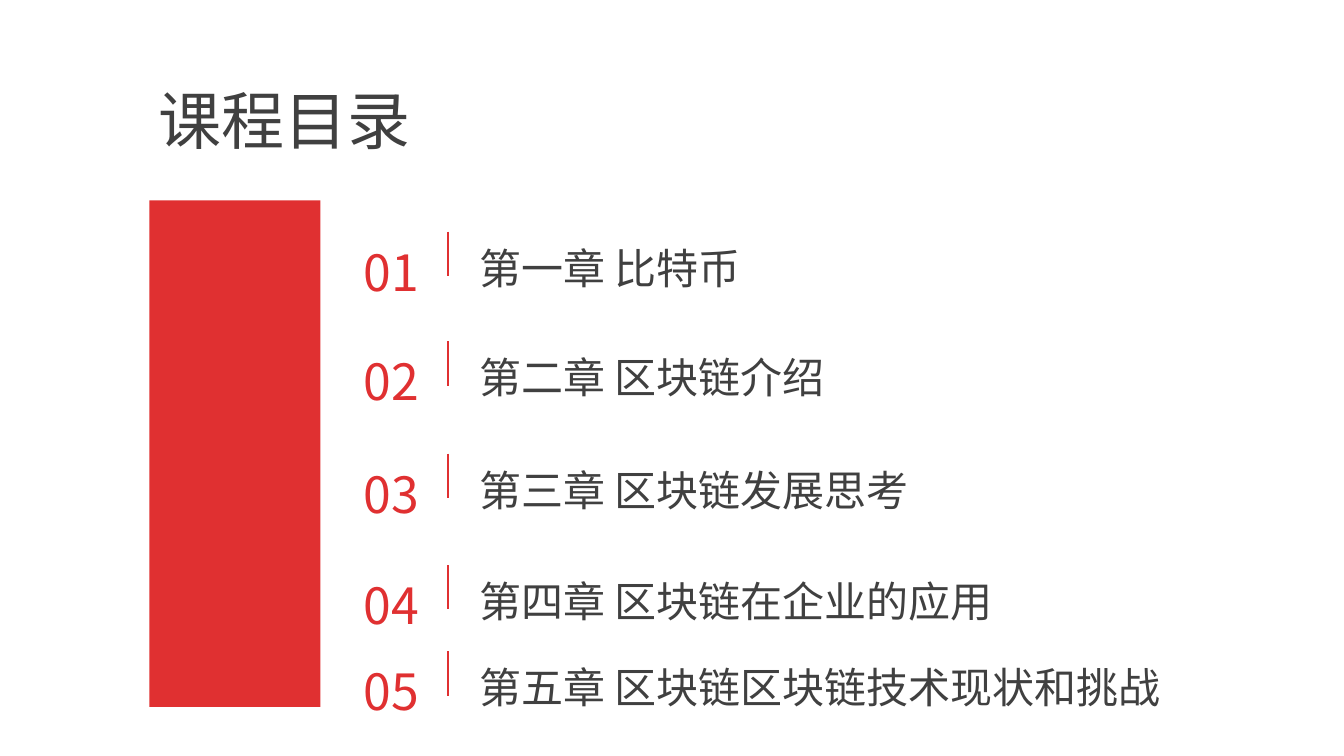
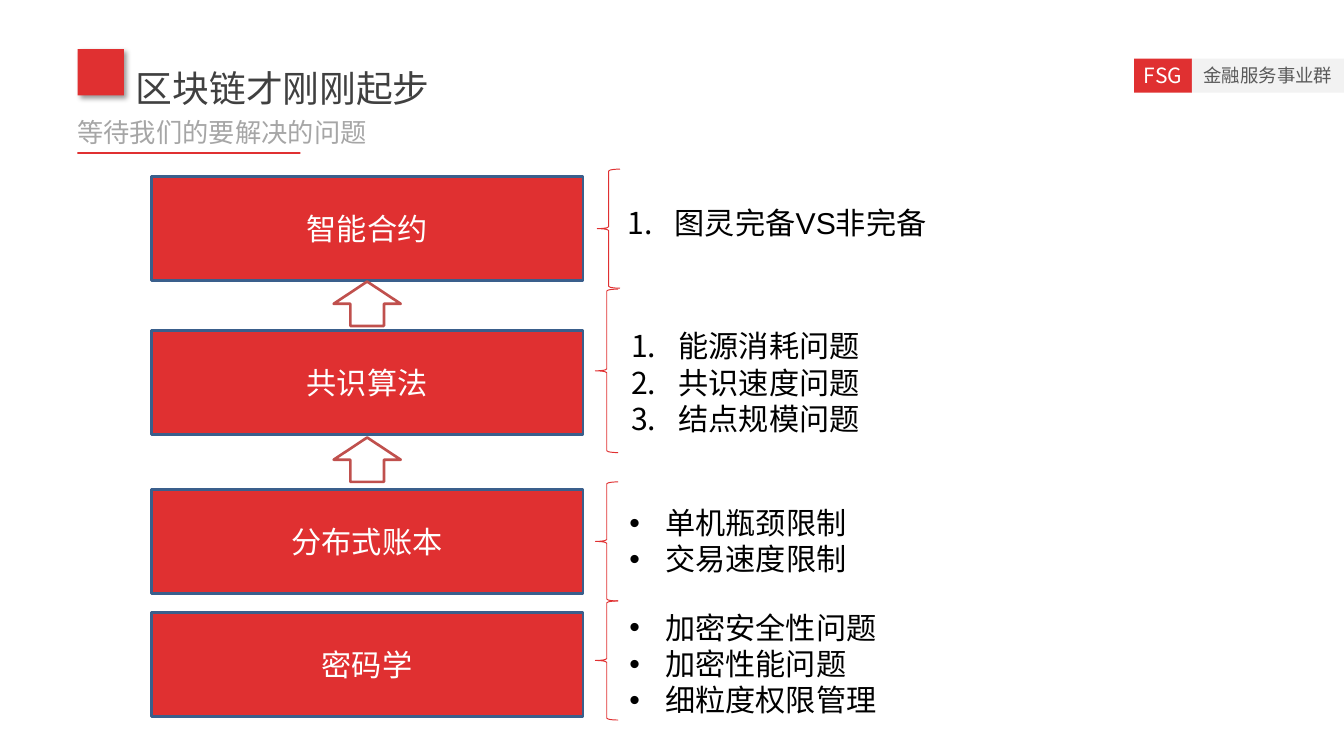
from lxml.etree import SubElement
from pptx import Presentation
from pptx.dml.color import RGBColor
from pptx.enum.shapes import MSO_CONNECTOR, MSO_SHAPE
from pptx.enum.text import MSO_ANCHOR, MSO_AUTO_SIZE, PP_ALIGN
from pptx.oxml.ns import qn
from pptx.util import Inches, Pt

RED = RGBColor(0xE0, 0x30, 0x31)
DARK = RGBColor(0x40, 0x40, 0x40)
GRAY = RGBColor(0x59, 0x59, 0x59)
SILVER = RGBColor(0xA6, 0xA6, 0xA6)
PALE = RGBColor(0xF2, 0xF2, 0xF2)
BLUE = RGBColor(0x3A, 0x5F, 0x8C)
BRICK = RGBColor(0xC0, 0x50, 0x4D)
WHITE = RGBColor(0xFF, 0xFF, 0xFF)
BLACK = RGBColor(0, 0, 0)
CJK = "Noto Sans CJK SC"

CHAPTERS = [
    (1.98, 3.12, "第一章 比特币"),
    (3.14, 3.93, "第二章 区块链介绍"),
    (4.33, 4.82, "第三章 区块链发展思考"),
    (5.51, 5.72, "第四章 区块链在企业的应用"),
    (6.42, 7.52, "第五章 区块链区块链技术现状和挑战"),
]

# name, box top, brace (left, top, height), issues box, list kind, wrap, issues
LAYERS = [
    ("智能合约", 1.87, (6.32, 1.79, 1.26), (6.54, 2.11, 3.4, 0.49),
     "number", True, ["图灵完备VS非完备"]),
    ("共识算法", 3.5, (6.3, 3.06, 1.73), (6.58, 3.42, 3.36, 1.26),
     "number", True, ["能源消耗问题", "共识速度问题", "结点规模问题"]),
    ("分布式账本", 5.18, (6.3, 5.1, 1.26), (6.56, 5.29, 2.52, 0.88),
     "dot", False, ["单机瓶颈限制", "交易速度限制"]),
    ("密码学", 6.48, (6.3, 6.36, 1.26), (6.56, 6.4, 2.84, 1.26),
     "dot", False, ["加密安全性问题", "加密性能问题", "细粒度权限管理"]),
]


def add_bullet(p, kind):
    indent = Inches(0.5 if kind == "number" else 0.38)
    pPr = p._p.get_or_add_pPr()
    pPr.set("marL", str(indent))
    pPr.set("indent", str(-indent))
    if kind == "number":
        SubElement(pPr, qn("a:buAutoNum"), type="arabicPeriod")
    else:
        SubElement(pPr, qn("a:buFont"), typeface="Arial")
        SubElement(pPr, qn("a:buChar"), char="•")


def write_text(tf, *lines, size, color, font=CJK, align=PP_ALIGN.LEFT,
               spacing=None, bullet=None, wrap=False):
    tf.word_wrap = wrap
    for i, line in enumerate(lines):
        p = tf.add_paragraph() if i else tf.paragraphs[0]
        p.alignment = align
        if spacing:
            p.line_spacing = spacing
        if bullet:
            add_bullet(p, bullet)
        r = p.add_run()
        r.text = line
        r.font.size = Pt(size)
        r.font.name = font
        r.font.color.rgb = color
        SubElement(r._r.get_or_add_rPr(), qn("a:ea"), typeface=CJK)


def add_text(s, box, *lines, **fmt):
    tf = s.shapes.add_textbox(*map(Inches, box)).text_frame
    tf.auto_size = MSO_AUTO_SIZE.SHAPE_TO_FIT_TEXT
    write_text(tf, *lines, **fmt)


def add_shape(s, box, kind=MSO_SHAPE.RECTANGLE, fill=None, line=None, width=2):
    sp = s.shapes.add_shape(kind, *map(Inches, box))
    sp.shadow.inherit = False
    if fill is None:
        sp.fill.background()
    else:
        sp.fill.solid()
        sp.fill.fore_color.rgb = fill
    if line is None:
        sp.line.fill.background()
    else:
        sp.line.color.rgb = line
        sp.line.width = Pt(width)
    return sp


def add_label(s, box, text, size, color, font=CJK, **style):
    """Add a filled rectangle with centred text."""
    sp = add_shape(s, box, **style)
    sp.text_frame.vertical_anchor = MSO_ANCHOR.MIDDLE
    write_text(sp.text_frame, text, size=size, color=color, font=font,
               align=PP_ALIGN.CENTER)


def add_rule(s, x, top, bottom):
    line = s.shapes.add_connector(MSO_CONNECTOR.STRAIGHT, Inches(x), Inches(top),
                                  Inches(x), Inches(bottom))
    line.line.color.rgb = RED
    line.line.width = Pt(1)
    SubElement(line._element.spPr, qn("a:effectLst"))


def drop_shadow(sp):
    effects = sp._element.spPr.find(qn("a:effectLst"))
    shadow = SubElement(effects, qn("a:outerShdw"), blurRad=str(Pt(4)),
                        dist=str(Pt(3)), dir=str(45 * 60000), algn="tl",
                        rotWithShape="0")
    color = SubElement(shadow, qn("a:srgbClr"), val="000000")
    SubElement(color, qn("a:alpha"), val="40000")


def add_header(s, title, subtitle):
    add_label(s, (12, 0.62, 0.61, 0.36), "FSG", 16, WHITE, fill=RED)
    add_label(s, (12.61, 0.62, 1.61, 0.36), "金融服务事业群", 14, GRAY, fill=PALE)
    add_text(s, (0.72, 0.85, 3.29, 0.77), subtitle, size=20, color=SILVER, spacing=2.0)
    add_shape(s, (0.82, 1.61, 2.36, 0.02), fill=RED)
    add_text(s, (1.34, 0.18, 3.34, 1.04), title, size=28, color=DARK, spacing=2.0)
    drop_shadow(add_shape(s, (0.82, 0.52, 0.49, 0.49), fill=RED))


def add_chapter(s, number, top, width, title):
    add_text(s, (4.97, top, width, 1.18), title, size=32, color=DARK, spacing=2.0)
    add_text(s, (3.73, top - 0.11, 0.83, 1.19), f"{number:02}", size=38, color=RED,
             align=PP_ALIGN.CENTER, spacing=2.0)
    add_rule(s, 4.74, top + 0.47, top + 0.94)


def add_layer(s, name, top, brace, issues_box, bullet, wrap, issues):
    add_label(s, (1.6, top, 4.57, 1.1), name, 23, WHITE, font="Calibri",
              fill=RED, line=BLUE)
    left, brace_top, height = brace
    add_shape(s, (left, brace_top, 0.24, height), MSO_SHAPE.LEFT_BRACE,
              line=RED, width=0.75)
    add_text(s, issues_box, *issues, size=23, color=BLACK, font="Arial",
             bullet=bullet, wrap=wrap)


def build_contents(s):
    add_text(s, (1.57, 0.81, 2.89, 0.91), "课程目录", size=48, color=DARK,
             align=PP_ALIGN.CENTER)
    add_shape(s, (1.58, 2.12, 1.81, 5.36), fill=RED)
    for number, chapter in enumerate(CHAPTERS, 1):
        add_chapter(s, number, *chapter)


def build_layers(s):
    add_header(s, "区块链才刚刚起步", "等待我们的要解决的问题")
    for layer in LAYERS:
        add_layer(s, *layer)
    for top in (2.98, 4.63):
        add_shape(s, (3.53, top, 0.71, 0.47), MSO_SHAPE.UP_ARROW,
                  fill=WHITE, line=BRICK)


def main():
    prs = Presentation()
    prs.slide_width, prs.slide_height = Inches(14.22), Inches(8)
    for build in (build_contents, build_layers):
        build(prs.slides.add_slide(prs.slide_layouts[6]))
    prs.save("out.pptx")


if __name__ == "__main__":
    main()
